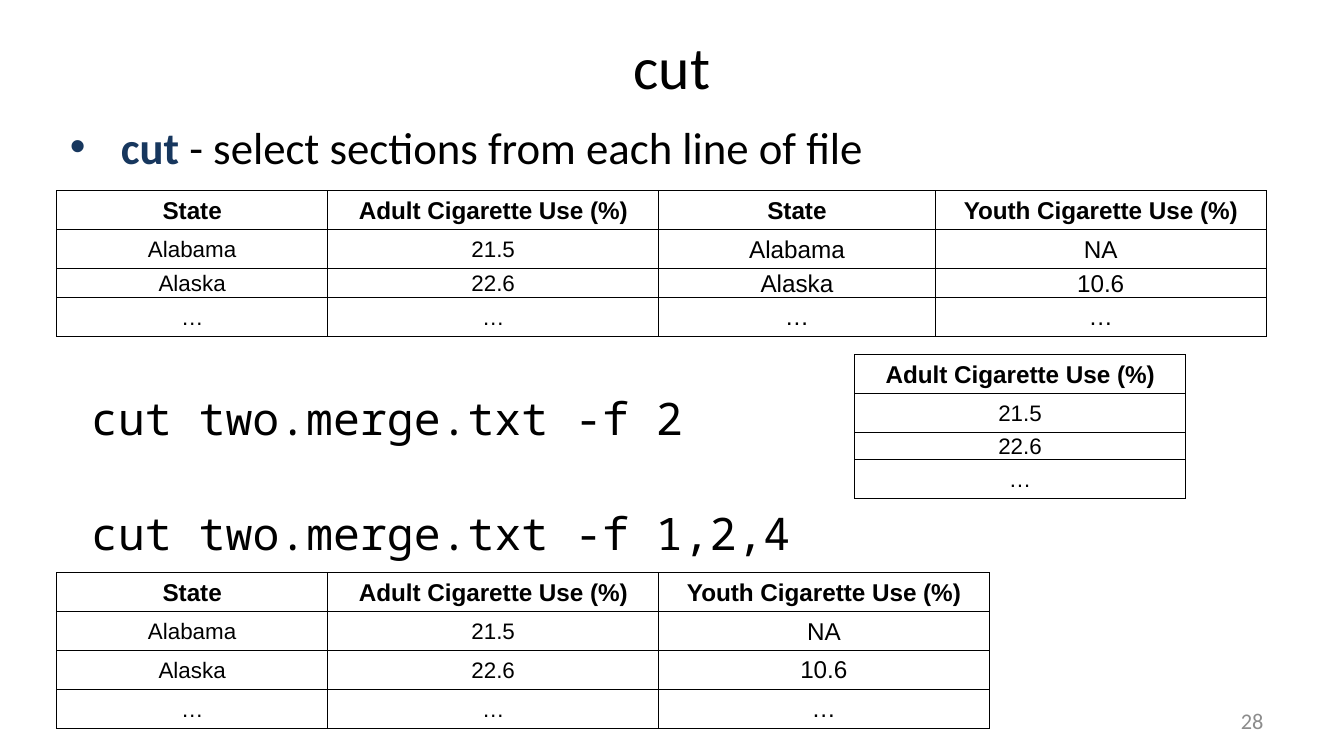
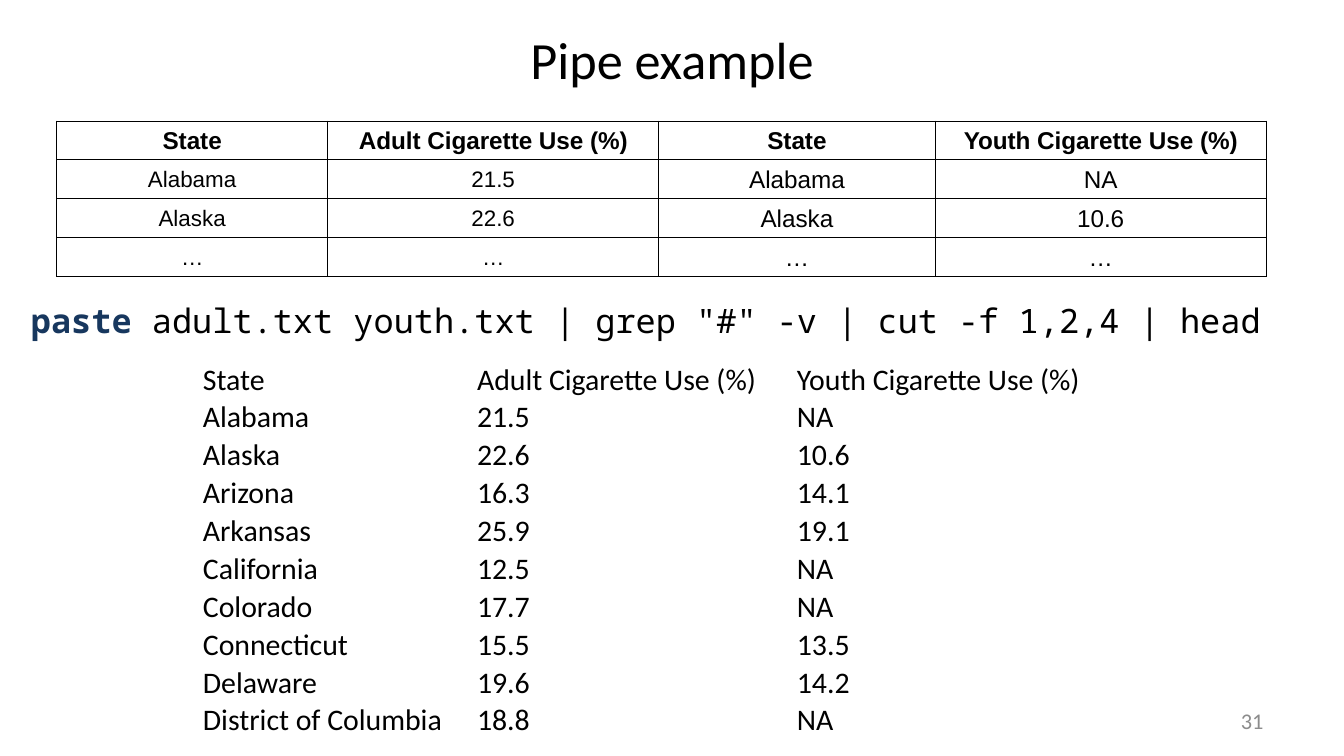
import dataclasses
import typing

import lxml.etree
import pptx
import pptx.dml.color
import pptx.enum.text
import pptx.oxml.ns
import pptx.util

Inches = pptx.util.Inches
Pt = pptx.util.Pt
Align = pptx.enum.text.PP_ALIGN
Anchor = pptx.enum.text.MSO_ANCHOR

SLIDE_WIDTH = 10
SLIDE_HEIGHT = SLIDE_WIDTH * 9 / 16
COLORS = {"text": "000000", "command": "17375E", "page": "8C8C8C", "border": "000000"}
SANS, MONO, TABLE_FONT = "Calibri", "Noto Sans Mono", "Arial"
PLAIN_TABLE_STYLE = "{2D5ABB26-0587-4C30-8999-92F81FD0307C}"
CELL_MARGINS = {
    "margin_left": Inches(0.01),
    "margin_right": Inches(0.01),
    "margin_top": Inches(0.01),
    "margin_bottom": Inches(0),
    "vertical_anchor": Anchor.MIDDLE,
}


class Box(typing.NamedTuple):
    left: float
    top: float
    width: float
    height: float

    def lengths(self) -> list[pptx.util.Length]:
        return [Inches(value) for value in self]


@dataclasses.dataclass(frozen=True)
class Words:
    text: str
    size: float
    font: str = SANS
    color: str = "text"
    bold: bool = False


@dataclasses.dataclass(frozen=True)
class Column:
    header: str
    values: tuple[str, ...]
    width: float
    size: float


@dataclasses.dataclass(frozen=True)
class TableLook:
    font: str
    header_size: float
    header_bold: bool
    align: Align
    bordered: bool


GRID = TableLook(TABLE_FONT, 13, True, Align.CENTER, True)
LISTING = TableLook(SANS, 16, False, Align.LEFT, False)

STATE = Column("State", ("Alabama", "Alaska", "…"), 2.02, 12)
ADULT = Column("Adult Cigarette Use (%)", ("21.5", "22.6", "…"), 2.46, 12)
YOUTH_STATE = Column("State", ("Alabama", "Alaska", "…"), 2.06, 13)
YOUTH = Column("Youth Cigarette Use (%)", ("NA", "10.6", "…"), 2.46, 13)
MERGED = (STATE, ADULT, YOUTH_STATE, YOUTH)

EVEN_ROWS = (0.29,) * 4
TIGHT_ROWS = (0.29, 0.29, 0.18, 0.29)

PIPE_OUTPUT = (
    ("Alabama", "21.5", "NA"),
    ("Alaska", "22.6", "10.6"),
    ("Arizona", "16.3", "14.1"),
    ("Arkansas", "25.9", "19.1"),
    ("California", "12.5", "NA"),
    ("Colorado", "17.7", "NA"),
    ("Connecticut", "15.5", "13.5"),
    ("Delaware", "19.6", "14.2"),
    ("District of Columbia", "18.8", "NA"),
)


def set_all(target: typing.Any, values: dict[str, typing.Any]) -> None:
    for name, value in values.items():
        setattr(target, name, value)


def write(paragraph, pieces: typing.Iterable[Words], align: Align = Align.LEFT) -> None:
    set_all(paragraph, {"alignment": align, "space_before": Pt(0)})
    for words in pieces:
        run = paragraph.add_run()
        run.text = words.text
        set_all(run.font, {"name": words.font, "size": Pt(words.size), "bold": words.bold})
        run.font.color.rgb = pptx.dml.color.RGBColor.from_string(COLORS[words.color])


def fill_frame(shape, pieces: typing.Iterable[Words], align: Align = Align.LEFT,
               anchor: Anchor = Anchor.TOP) -> None:
    frame = shape.text_frame
    set_all(frame, {
        "word_wrap": True,
        "auto_size": pptx.enum.text.MSO_AUTO_SIZE.NONE,
        "vertical_anchor": anchor,
    })
    write(frame.paragraphs[0], pieces, align)


def place(shape, box: Box) -> None:
    set_all(shape, dict(zip(("left", "top", "width", "height"), box.lengths())))


def add_text(slide, box: Box, words: Words, align: Align = Align.LEFT,
             anchor: Anchor = Anchor.TOP) -> None:
    fill_frame(slide.shapes.add_textbox(*box.lengths()), [words], align, anchor)


def start_slide(deck, title: Words, title_top: float, page: str):
    """Add a slide with its title and page number."""
    slide = deck.slides.add_slide(deck.slide_layouts[1])
    place(slide.shapes.title, Box(0.5, title_top, 9, 0.63))
    fill_frame(slide.shapes.title, [title], Align.CENTER, Anchor.MIDDLE)
    add_text(slide, Box(7.17, 5.21, 2.33, 0.3), Words(page, 12, color="page"),
             Align.RIGHT, Anchor.MIDDLE)
    return slide


def fill_body(slide, box: Box, pieces: typing.Iterable[Words], bulleted: bool) -> None:
    body = slide.placeholders[1]
    place(body, box)
    fill_frame(body, pieces)
    properties = body.text_frame.paragraphs[0]._p.get_or_add_pPr()
    indent = Inches(0.38) if bulleted else 0
    properties.set("marL", str(indent))
    properties.set("indent", str(-indent))
    if not bulleted:
        lxml.etree.SubElement(properties, pptx.oxml.ns.qn("a:buNone"))


def add_borders(cell) -> None:
    properties = cell._tc.get_or_add_tcPr()
    for side in ("lnL", "lnR", "lnT", "lnB"):
        line = lxml.etree.SubElement(properties, pptx.oxml.ns.qn(f"a:{side}"), w=str(Pt(0.5)))
        solid = lxml.etree.SubElement(line, pptx.oxml.ns.qn("a:solidFill"))
        lxml.etree.SubElement(solid, pptx.oxml.ns.qn("a:srgbClr"), val=COLORS["border"])


def add_data(slide, left: float, top: float, columns: typing.Sequence[Column],
             row_heights: typing.Sequence[float], look: TableLook = GRID) -> None:
    box = Box(left, top, sum(column.width for column in columns), sum(row_heights))
    table = slide.shapes.add_table(len(row_heights), len(columns), *box.lengths()).table
    set_all(table, {"first_row": False, "horz_banding": False})
    table._tbl.tblPr.find(pptx.oxml.ns.qn("a:tableStyleId")).text = PLAIN_TABLE_STYLE
    for row, height in zip(table.rows, row_heights):
        row.height = Inches(height)
    for c, column in enumerate(columns):
        table.columns[c].width = Inches(column.width)
        for r, text in enumerate((column.header, *column.values)):
            cell = table.cell(r, c)
            set_all(cell, CELL_MARGINS)
            if look.bordered:
                add_borders(cell)
            cell.fill.background()
            size = column.size if r else look.header_size
            bold = look.header_bold and r == 0
            write(cell.text_frame.paragraphs[0],
                  [Words(text, size, look.font, bold=bold)], look.align)


def build_cut(deck) -> None:
    slide = start_slide(deck, Words("cut", 32), 0.17, "28")
    fill_body(slide, Box(0.42, 0.84, 8.81, 0.64), [
        Words("cut", 24, color="command", bold=True),
        Words(" - select sections from each line of file", 24),
    ], bulleted=True)
    add_data(slide, 0.42, 1.42, MERGED, TIGHT_ROWS)
    add_text(slide, Box(0.58, 3.71, 6.45, 0.69), Words("cut two.merge.txt -f 1,2,4", 24, MONO))
    add_data(slide, 0.42, 4.26, [STATE, ADULT, YOUTH], EVEN_ROWS)
    add_text(slide, Box(0.58, 2.86, 5.36, 0.66), Words("cut two.merge.txt -f 2", 24, MONO))
    add_data(slide, 6.36, 2.64, [ADULT], TIGHT_ROWS)


def build_pipe(deck) -> None:
    slide = start_slide(deck, Words("Pipe example", 28), 0.12, "31")
    fill_body(slide, Box(0.13, 2.18, 9.73, 0.49), [
        Words("paste ", 18, MONO, "command", True),
        Words('adult.txt youth.txt | grep "#" -v | cut -f 1,2,4 | head', 18, MONO),
    ], bulleted=False)
    output = [
        Column(kept.header, values, width, 16)
        for kept, values, width in zip((STATE, ADULT, YOUTH), zip(*PIPE_OUTPUT),
                                       (2.04, 2.38, 2.42))
    ]
    add_data(slide, 1.5, 2.68, output, (0.24,) + (0.26,) * len(PIPE_OUTPUT), LISTING)
    add_data(slide, 0.42, 0.9, MERGED, EVEN_ROWS)


def main() -> None:
    deck = pptx.Presentation()
    set_all(deck, {"slide_width": Inches(SLIDE_WIDTH), "slide_height": Inches(SLIDE_HEIGHT)})
    build_cut(deck)
    build_pipe(deck)
    deck.save("out.pptx")


if __name__ == "__main__":
    main()
